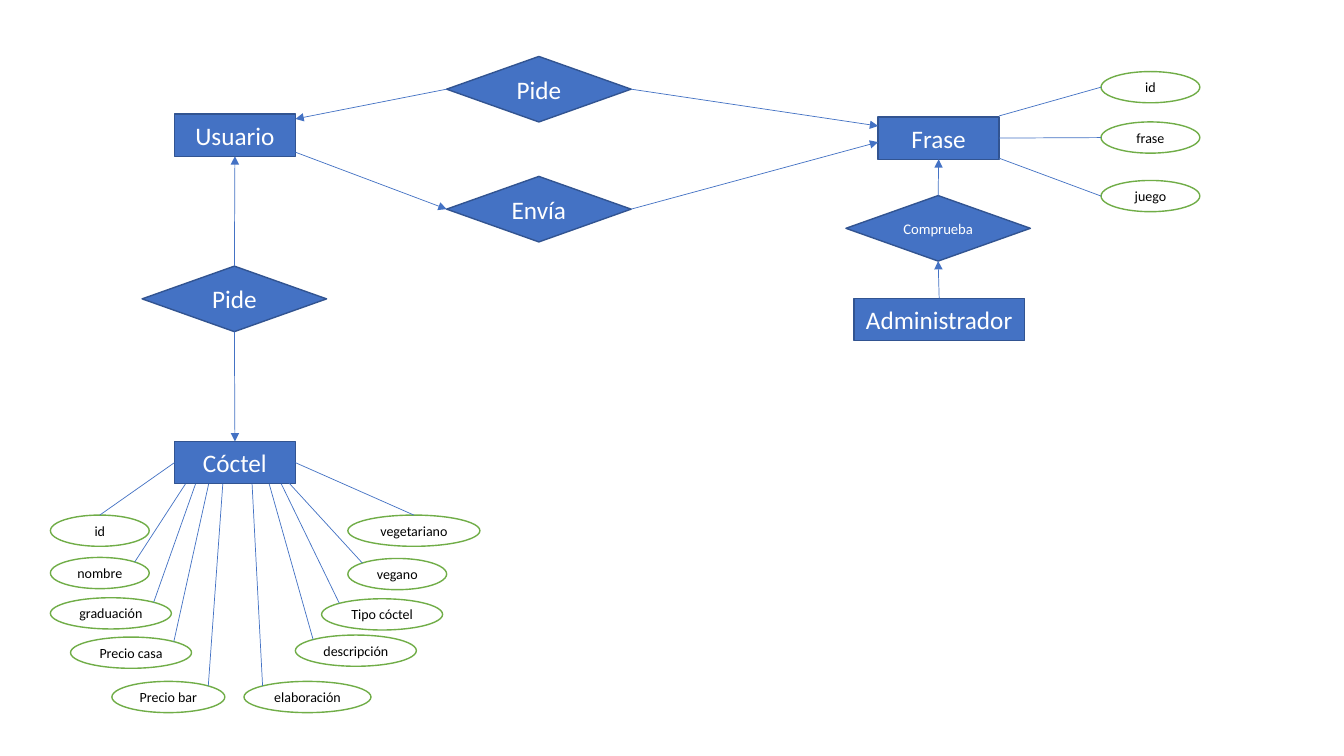
from collections import namedtuple
from math import sqrt

from lxml import etree
from pptx import Presentation
from pptx.dml.color import RGBColor
from pptx.enum.shapes import MSO_CONNECTOR, MSO_SHAPE
from pptx.enum.text import MSO_ANCHOR, PP_ALIGN
from pptx.oxml.ns import qn
from pptx.util import Inches, Pt

RECTANGLE, DIAMOND, ELLIPSE = MSO_SHAPE.RECTANGLE, MSO_SHAPE.DIAMOND, MSO_SHAPE.OVAL
STRAIGHT = MSO_CONNECTOR.STRAIGHT
MIDDLE, CENTER = MSO_ANCHOR.MIDDLE, PP_ALIGN.CENTER

TOP, LEFT, BOTTOM, RIGHT = range(4)
Side = namedtuple("Side", "shape site")

# Places on an ellipse's outline, as fractions of its width and height
DIAGONAL = (1 - sqrt(0.5)) / 2
UPPER_MIDDLE = (0.5, 0)
UPPER_LEFT = (DIAGONAL, DIAGONAL)
UPPER_RIGHT = (1 - DIAGONAL, DIAGONAL)
MIDDLE_LEFT = (0, 0.5)


def color(value):
    return RGBColor.from_string(value)


def write(shape, text, size=18, ink="FFFFFF", font="Calibri"):
    """Put one centred line of text in the shape."""
    frame = shape.text_frame
    frame.word_wrap = False
    frame.vertical_anchor = MIDDLE
    frame.margin_left = frame.margin_right = 0
    frame.margin_top = frame.margin_bottom = 0
    para = frame.paragraphs[0]
    para.alignment = CENTER
    span = para.add_run()
    span.text = text
    span.font.size = Pt(size)
    span.font.name = font
    span.font.color.rgb = color(ink)


class Diagram:
    """Entity-relationship diagram on one slide."""

    blue, dark_blue, green = "4472C4", "325491", "70AD47"
    white, black = "FFFFFF", "000000"
    relation_size = (1.83, 0.65)
    entity_height, attribute_height = 0.42, 0.31

    def __init__(self, page):
        self.page = page

    def shape(self, kind, left, top, width, height, fill, outline):
        box = self.page.shapes.add_shape(
            kind, Inches(left), Inches(top), Inches(width), Inches(height))
        box.shadow.inherit = False
        box.fill.solid()
        box.fill.fore_color.rgb = color(fill)
        box.line.color.rgb = color(outline)
        box.line.width = Pt(1)
        return box

    def entity(self, text, left, top, width=1.2):
        box = self.shape(RECTANGLE, left, top, width, self.entity_height,
                         self.blue, self.dark_blue)
        write(box, text)
        return box

    def relation(self, text, left, top, size=18):
        box = self.shape(DIAMOND, left, top, *self.relation_size,
                         self.blue, self.dark_blue)
        write(box, text, size=size)
        return box

    def attribute(self, text, left, top, width, place, owner):
        """Draw an attribute and the line from a place on it to its owner."""
        height = self.attribute_height
        box = self.shape(ELLIPSE, left, top, width, height, self.white, self.green)
        write(box, text, size=10, ink=self.black)
        across, down = place
        self.link((left + width * across, top + height * down), owner)

    def link(self, start, end, arrow=False):
        """Join two ends, each a Side or an (x, y) point in inches."""
        line = self.page.shapes.add_connector(STRAIGHT, 0, 0, 0, 0)
        if isinstance(start, Side):
            line.begin_connect(start.shape, start.site)
        else:
            line.begin_x, line.begin_y = map(Inches, start)
        if isinstance(end, Side):
            line.end_connect(end.shape, end.site)
        else:
            line.end_x, line.end_y = map(Inches, end)
        line.line.color.rgb = color(self.blue)
        line.line.width = Pt(0.5)
        properties = line._element.spPr
        if arrow:
            etree.SubElement(properties.find(qn("a:ln")), qn("a:tailEnd"), type="triangle")
        etree.SubElement(properties, qn("a:effectLst"))


def main():
    deck = Presentation()
    deck.slide_width, deck.slide_height = Inches(13.33), Inches(7.5)
    diagram = Diagram(deck.slides.add_slide(deck.slide_layouts[6]))

    user = diagram.entity("Usuario", 1.73, 1.13)
    administrator = diagram.entity("Administrador", 8.47, 2.96, width=1.69)
    phrase = diagram.entity("Frase", 8.71, 1.16)
    cocktail = diagram.entity("Cóctel", 1.73, 4.38)

    asks_phrase = diagram.relation("Pide", 4.43, 0.56)
    sends = diagram.relation("Envía", 4.43, 1.75)
    checks = diagram.relation("Comprueba", 8.39, 1.94, size=10.5)
    asks_cocktail = diagram.relation("Pide", 1.41, 2.64)

    arrows = [
        (Side(asks_phrase, LEFT), (2.93, 1.18)),
        (Side(asks_phrase, RIGHT), (8.71, 1.25)),
        ((2.93, 1.51), Side(sends, LEFT)),
        (Side(sends, RIGHT), (8.71, 1.41)),
        (Side(administrator, TOP), Side(checks, BOTTOM)),
        (Side(checks, TOP), Side(phrase, BOTTOM)),
        (Side(asks_cocktail, TOP), Side(user, BOTTOM)),
        (Side(asks_cocktail, BOTTOM), Side(cocktail, TOP)),
    ]
    for start, end in arrows:
        diagram.link(start, end, arrow=True)

    attributes = [
        # Cóctel, left side
        ("id", 0.5, 5.11, 0.98, UPPER_MIDDLE, Side(cocktail, LEFT)),
        ("nombre", 0.5, 5.53, 0.98, UPPER_RIGHT, (1.84, 4.8)),
        ("graduación", 0.5, 5.93, 1.2, UPPER_RIGHT, (1.94, 4.8)),
        ("Precio casa", 0.7, 6.32, 1.2, UPPER_RIGHT, (2.07, 4.8)),
        ("Precio bar", 1.11, 6.76, 1.12, UPPER_RIGHT, (2.21, 4.8)),
        # Cóctel, right side
        ("vegetariano", 3.45, 5.11, 1.31, UPPER_MIDDLE, Side(cocktail, RIGHT)),
        ("vegano", 3.45, 5.54, 0.98, UPPER_LEFT, (2.81, 4.73)),
        ("Tipo cóctel", 3.19, 5.94, 1.2, UPPER_LEFT, (2.79, 4.8)),
        ("descripción", 2.93, 6.3, 1.2, UPPER_LEFT, (2.67, 4.8)),
        ("elaboración", 2.42, 6.76, 1.26, UPPER_LEFT, (2.5, 4.8)),
        # Frase
        ("id", 10.92, 0.71, 0.98, MIDDLE_LEFT, (9.91, 1.15)),
        ("frase", 10.92, 1.21, 0.98, MIDDLE_LEFT, Side(phrase, RIGHT)),
        ("juego", 10.92, 1.79, 0.98, MIDDLE_LEFT, (9.91, 1.57)),
    ]
    for attribute in attributes:
        diagram.attribute(*attribute)

    deck.save("out.pptx")


if __name__ == "__main__":
    main()
